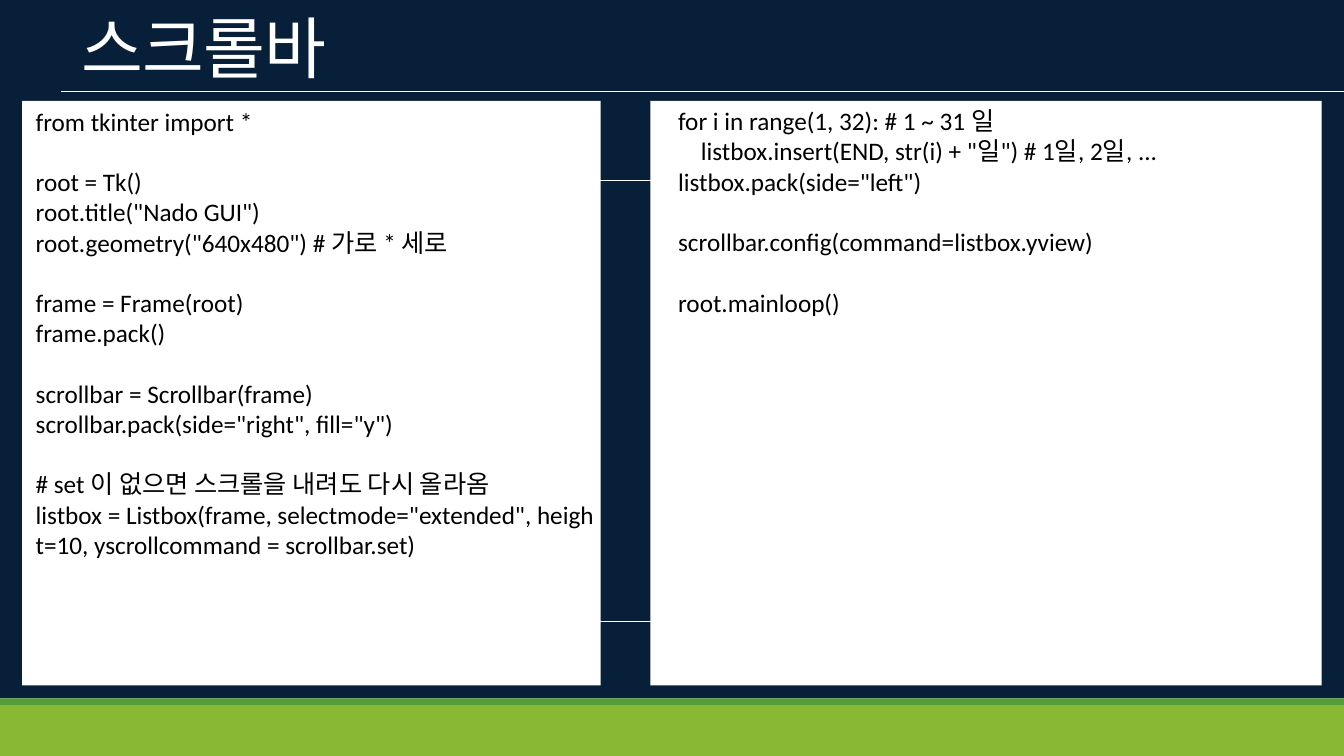
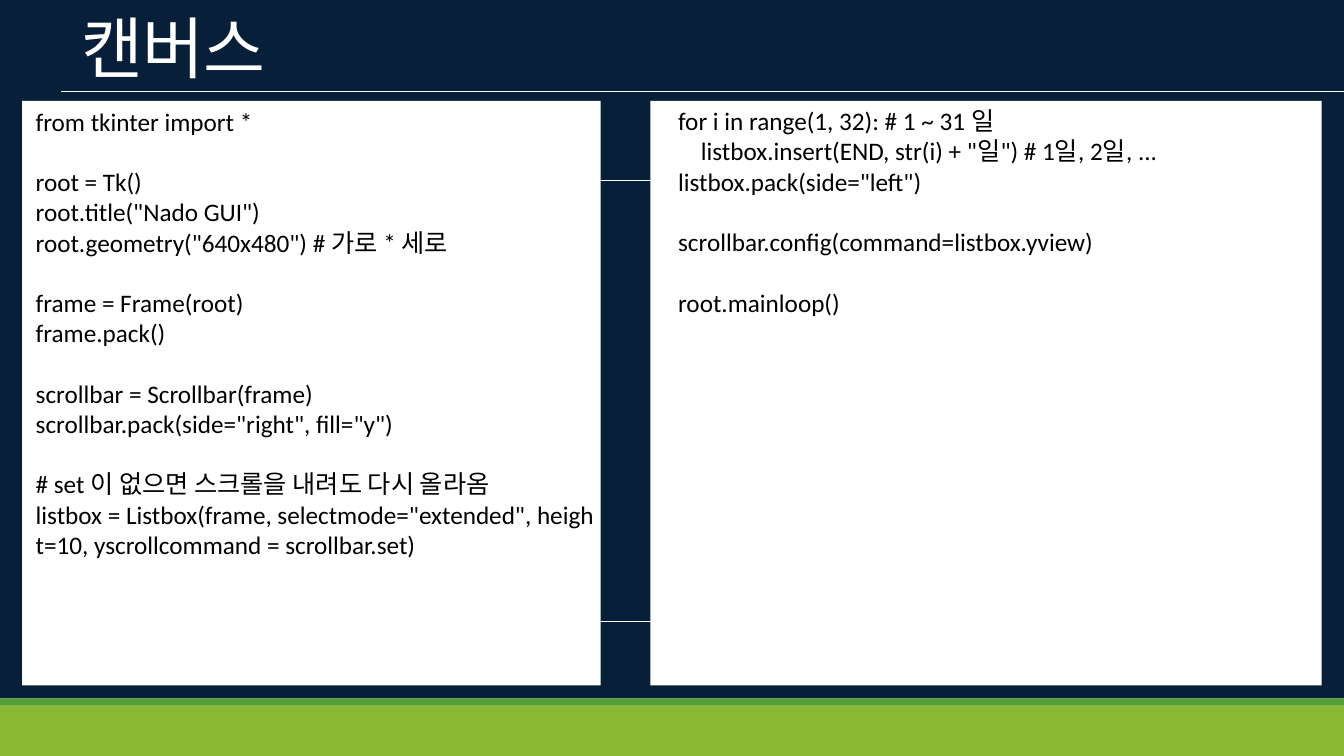
"""Build two code slides about tkinter widgets."""
from lxml.etree import SubElement
from pptx import Presentation
from pptx.dml.color import RGBColor
from pptx.enum.shapes import MSO_CONNECTOR, MSO_SHAPE
from pptx.oxml.ns import qn
from pptx.util import Cm, Pt

NAVY = RGBColor(0x08, 0x1F, 0x3A)
GREEN = RGBColor(0x53, 0x9E, 0x39)
LIME = RGBColor(0x89, 0xB8, 0x33)
WHITE = RGBColor(0xFF, 0xFF, 0xFF)
BLACK = RGBColor(0x00, 0x00, 0x00)

WIDTH, HEIGHT = 33.87, 19.05
GREEN_TOP, LIME_TOP = 17.6, 17.78
PANEL_TOP, PANEL_HEIGHT = 2.54, 14.73
PANELS = ((0.56, 14.58), (16.39, 16.92))
NO_BREAK_SPACE = chr(160)

TITLES = ["스크롤바", "캔버스"]

SETUP_CODE = [
    ["from tkinter import *"],
    ["root = Tk()",
     'root.title("Nado GUI")',
     'root.geometry("640x480") # 가로 * 세로'],
    ["frame = Frame(root)",
     "frame.pack()"],
    ["scrollbar = Scrollbar(frame)",
     'scrollbar.pack(side="right", fill="y")'],
    ["# set 이 없으면 스크롤을 내려도 다시 올라옴",
     'listbox = Listbox(frame, selectmode="extended", height=10, '
     "yscrollcommand = scrollbar.set)"],
]

LIST_CODE = [
    ["for i in range(1, 32): # 1 ~ 31 일",
     '    listbox.insert(END, str(i) + "일") # 1일, 2일, ...',
     'listbox.pack(side="left")'],
    ["scrollbar.config(command=listbox.yview)"],
    ["root.mainloop()"],
]


class Deck:
    """Hold the shared style and the slide being drawn."""

    def __init__(self):
        self.presentation = Presentation()
        self.presentation.slide_width = Cm(WIDTH)
        self.presentation.slide_height = Cm(HEIGHT)
        self.slide = None

    def add_slide(self, title):
        """Start a slide with its bands, title and title rule."""
        self.slide = self.presentation.slides.add_slide(
            self.presentation.slide_layouts[6])
        self.rectangle(0, 0, WIDTH, GREEN_TOP, NAVY)
        self.rectangle(0, LIME_TOP, WIDTH, HEIGHT - LIME_TOP, LIME)
        self.rectangle(0, GREEN_TOP, WIDTH, LIME_TOP - GREEN_TOP, GREEN)
        frame = self.text_frame(2.06, 0.15, 25.55, 2.08, 0)
        run = self.run(frame.paragraphs[0], title, "DejaVu Sans Mono", 48, WHITE)
        run.font._element.set("spc", "-50")
        self.line(1.54, WIDTH, 2.3)

    def rectangle(self, left, top, width, height, colour):
        """Draw a plain filled rectangle."""
        shape = self.slide.shapes.add_shape(
            MSO_SHAPE.RECTANGLE, Cm(left), Cm(top), Cm(width), Cm(height))
        shape.shadow.inherit = False
        shape.fill.solid()
        shape.fill.fore_color.rgb = colour
        shape.line.fill.background()

    def line(self, start, end, top):
        """Draw a thin horizontal line."""
        connector = self.slide.shapes.add_connector(
            MSO_CONNECTOR.STRAIGHT, Cm(start), Cm(top), Cm(end), Cm(top))
        connector.line.color.rgb = WHITE
        connector.line.width = Pt(0.5)
        SubElement(connector._element.spPr, qn("a:effectLst"))

    def text_frame(self, left, top, width, height, top_margin):
        """Add a wrapping text box without side margins."""
        box = self.slide.shapes.add_textbox(
            Cm(left), Cm(top), Cm(width), Cm(height))
        frame = box.text_frame
        frame.word_wrap = True
        frame.margin_left = frame.margin_right = frame.margin_bottom = 0
        frame.margin_top = Cm(top_margin)
        return frame

    def run(self, paragraph, text, font, size, colour):
        """Add a styled run."""
        run = paragraph.add_run()
        run.text = text
        run.font.name = font
        run.font.size = Pt(size)
        run.font.color.rgb = colour
        return run

    def code(self, left, top, width, height, top_margin, blocks, asian_font=None):
        """Add code with a line of space between its blocks."""
        frame = self.text_frame(left, top, width, height, top_margin)
        paragraph = frame.paragraphs[0]
        for block_index, block in enumerate(blocks):
            for line_index, text in enumerate(block):
                if block_index or line_index:
                    paragraph = frame.add_paragraph()
                if block_index and not line_index:
                    paragraph.space_before = Pt(21.6)
                run = self.run(paragraph, text.replace(" ", NO_BREAK_SPACE),
                               "Calibri", 18, BLACK)
                if asian_font:
                    SubElement(run.font._element, qn("a:ea"), typeface=asian_font)


def main():
    """Build and save the presentation."""
    deck = Deck()
    for title in TITLES:
        deck.add_slide(title)
        for top in (4.55, 15.66):
            deck.line(1.75, 16.97, top)
        for left, width in PANELS:
            deck.rectangle(left, PANEL_TOP, width, PANEL_HEIGHT, WHITE)
        deck.code(0.9, 2.29, 14.25, 13.46, 0.38, SETUP_CODE, "Calibri")
        deck.code(17.09, PANEL_TOP, 15.53, 5.64, 0.12, LIST_CODE)
    deck.presentation.save("out.pptx")


if __name__ == "__main__":
    main()
